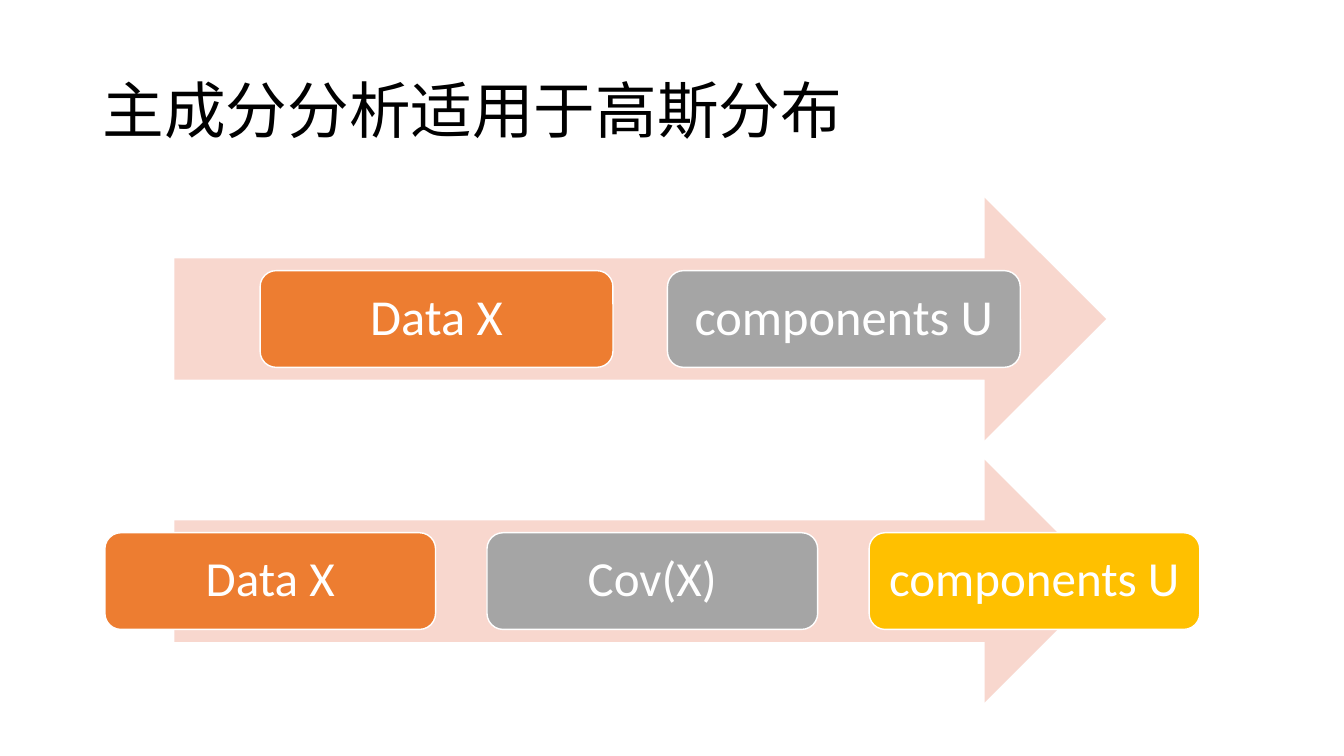
from pptx import Presentation
from pptx.dml.color import RGBColor
from pptx.enum.shapes import MSO_SHAPE
from pptx.enum.text import MSO_ANCHOR, PP_ALIGN
from pptx.util import Inches, Pt

RIGHT_ARROW = MSO_SHAPE.RIGHT_ARROW
ROUNDED = MSO_SHAPE.ROUNDED_RECTANGLE
MIDDLE = MSO_ANCHOR.MIDDLE
LEFT, CENTER = PP_ALIGN.LEFT, PP_ALIGN.CENTER

BLACK = RGBColor(0x00, 0x00, 0x00)
WHITE = RGBColor(0xFF, 0xFF, 0xFF)
PINK = RGBColor(0xF8, 0xD7, 0xCE)
ORANGE = RGBColor(0xED, 0x7D, 0x31)
GRAY = RGBColor(0xA5, 0xA5, 0xA5)
GOLD = RGBColor(0xFF, 0xC0, 0x00)
STEP_COLORS = [ORANGE, GRAY, GOLD]

FONT = "Calibri"
ARROW_LEFT, ARROW_WIDTH, ARROW_HEIGHT = 1.73, 9.24, 2.41
FIRST_ARROW_TOP, ARROW_PITCH = 1.96, 2.6
STEP_HEIGHT = 0.96
FLOWS = [
    (["Data X", "components U"], 2.58, 3.5, 4.04, 36),
    (["Data X", "Cov(X)", "components U"], 1.04, 3.28, 3.79, 35),
]


def write(frame, text, size, color, align):
    frame.word_wrap = True
    frame.vertical_anchor = MIDDLE
    paragraph = frame.paragraphs[0]
    paragraph.alignment = align
    paragraph.line_spacing = 0.9
    run = paragraph.add_run()
    run.text = text
    run.font.name = FONT
    run.font.size = Pt(size)
    run.font.color.rgb = color


def add_title(slide, text, left, top, width, height):
    title = slide.shapes.add_textbox(
        Inches(left), Inches(top), Inches(width), Inches(height))
    write(title.text_frame, text, 44, BLACK, LEFT)


def add_filled(slide, preset, color, left, top, width, height):
    shape = slide.shapes.add_shape(
        preset, Inches(left), Inches(top), Inches(width), Inches(height))
    shape.shadow.inherit = False
    shape.fill.solid()
    shape.fill.fore_color.rgb = color
    shape.line.fill.background()
    return shape


def add_step(slide, label, color, size, left, top, width, height):
    step = add_filled(slide, ROUNDED, color, left, top, width, height)
    step.line.color.rgb = WHITE
    step.line.width = Pt(1)
    frame = step.text_frame
    frame.margin_left = frame.margin_right = Inches(0.1)
    write(frame, label, size, WHITE, CENTER)


def add_flow(slide, top, labels, first_left, step_width, pitch, size):
    add_filled(slide, RIGHT_ARROW, PINK,
               ARROW_LEFT, top, ARROW_WIDTH, ARROW_HEIGHT)
    step_top = top + (ARROW_HEIGHT - STEP_HEIGHT) / 2
    for column, (label, color) in enumerate(zip(labels, STEP_COLORS)):
        add_step(slide, label, color, size,
                 first_left + column * pitch, step_top, step_width, STEP_HEIGHT)


def main():
    deck = Presentation()
    deck.slide_width, deck.slide_height = Inches(13.33), Inches(7.5)
    slide = deck.slides.add_slide(deck.slide_layouts[6])
    add_title(slide, "主成分分析适用于高斯分布", 0.92, 0.4, 11.5, 1.45)
    for row, flow in enumerate(FLOWS):
        add_flow(slide, FIRST_ARROW_TOP + row * ARROW_PITCH, *flow)
    deck.save("out.pptx")


if __name__ == "__main__":
    main()
